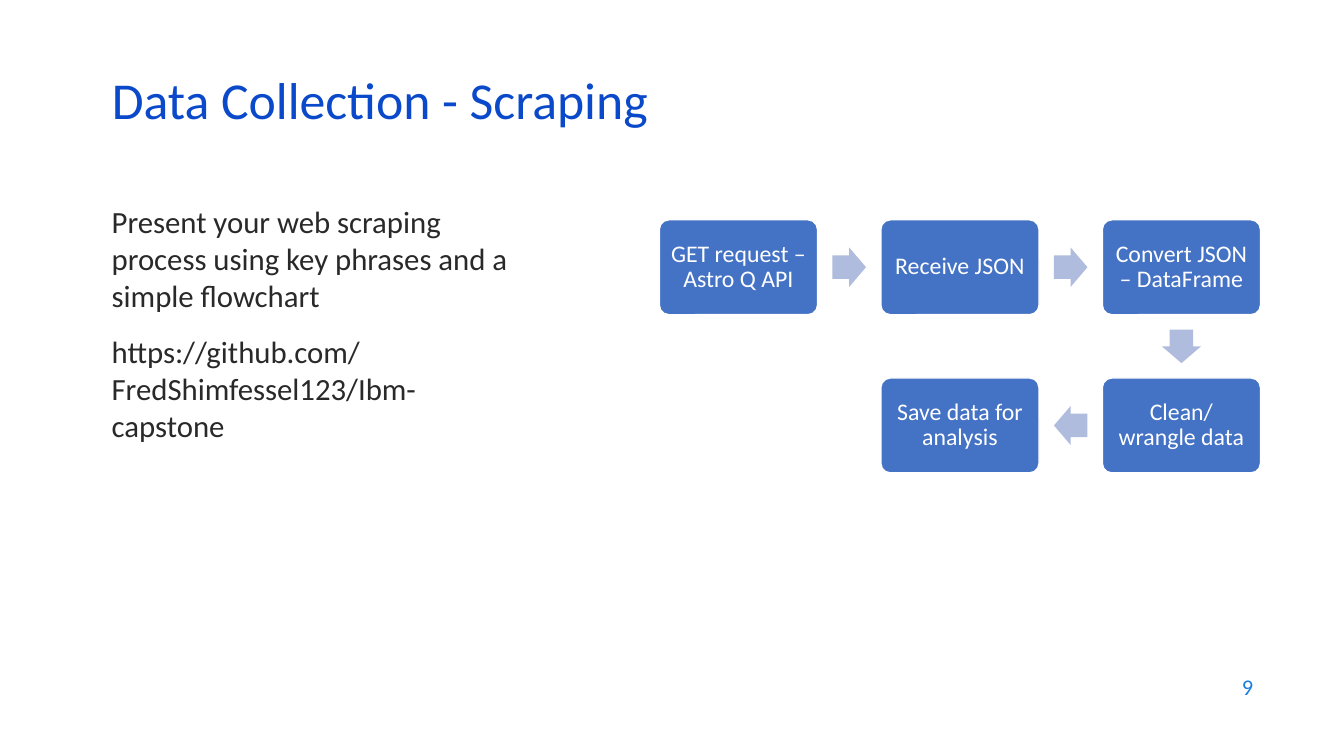
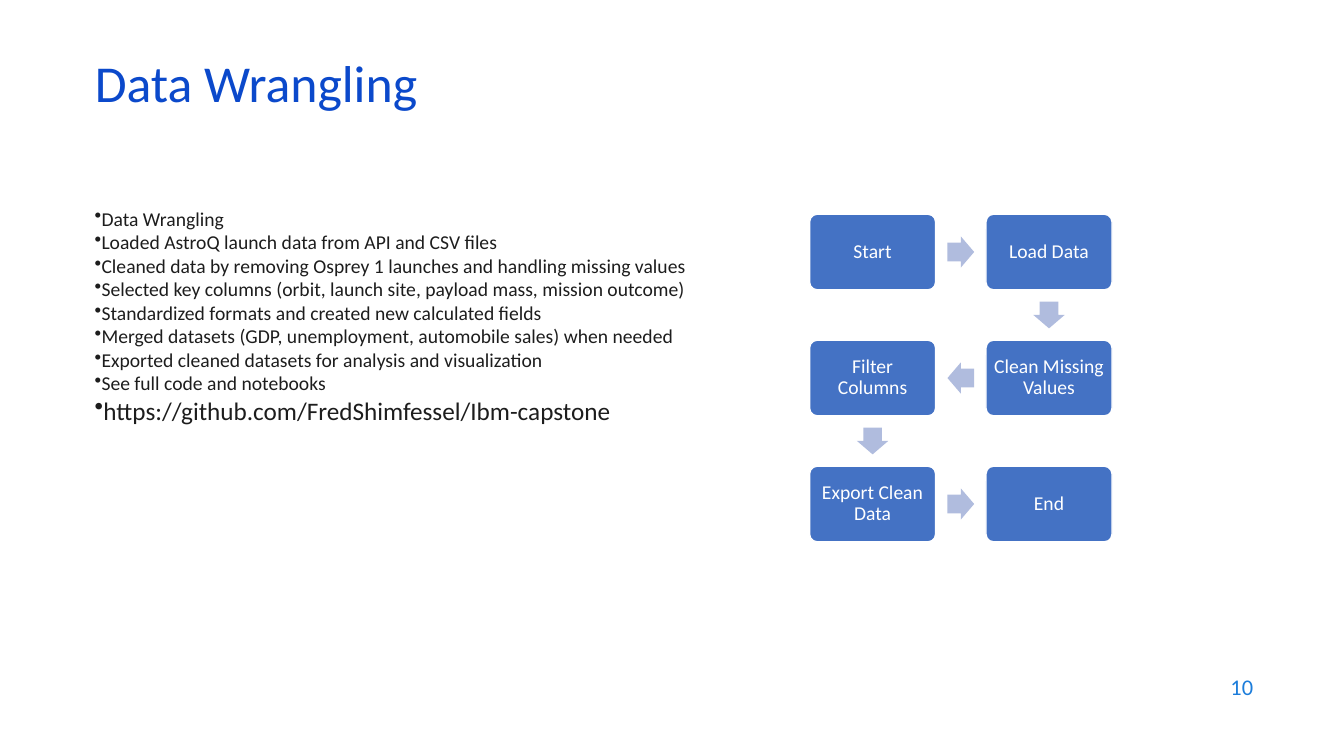
from itertools import pairwise
from math import atan2, degrees

from lxml.etree import SubElement
from pptx import Presentation
from pptx.dml.color import RGBColor
from pptx.enum.shapes import MSO_SHAPE
from pptx.enum.text import MSO_ANCHOR, MSO_AUTO_SIZE, PP_ALIGN
from pptx.oxml.ns import qn
from pptx.util import Pt

COLORS = {
    "title": "0B49CB",
    "number": "1C7DDB",
    "prose": "292929",
    "bullets": "1D1D1D",
    "step": "4472C4",
    "arrow": "B0BCDE",
    "white": "FFFFFF",
}
FONT = "Calibri"
TITLE_ONLY = 5

SLIDES = [
    {
        "number": "9",
        "title": "Data Collection - Scraping",
        "title_at": (72.7, 54.7, 828, 43.2),
        "body_at": (72.7, 141.1, 309.6, 300.2),
        "body_color": "prose",
        "bulleted": False,
        "gap": 14,
        "body": [
            ("Present your web scraping process using key phrases and a simple flowchart", 22),
            ("https://github.com/FredShimfessel123/Ibm-capstone", 22),
        ],
        "flow": {
            "origin": (471, 157),
            "step_width": 113,
            "size": 17,
            "steps": [
                ("GET request – Astro Q API", 0, 0),
                ("Receive JSON", 1, 0),
                ("Convert JSON – DataFrame", 2, 0),
                ("Clean/wrangle data", 2, 1),
                ("Save data for analysis", 1, 1),
            ],
        },
    },
    {
        "number": "10",
        "title": "Data Wrangling",
        "title_at": (60.5, 42.5, 828, 43.2),
        "body_at": (60.5, 144, 470.2, 346.3),
        "body_color": "bullets",
        "bulleted": True,
        "gap": 0,
        "body": [
            ("Data Wrangling", 14),
            ("Loaded AstroQ launch data from API and CSV files", 14),
            ("Cleaned data by removing Osprey 1 launches and handling missing values", 14),
            ("Selected key columns (orbit, launch site, payload mass, mission outcome)", 14),
            ("Standardized formats and created new calculated fields", 14),
            ("Merged datasets (GDP, unemployment, automobile sales) when needed", 14),
            ("Exported cleaned datasets for analysis and visualization", 14),
            ("See full code and notebooks", 14),
            ("https://github.com/FredShimfessel/Ibm-capstone", 18),
        ],
        "flow": {
            "origin": (578.3, 153),
            "step_width": 90,
            "size": 14,
            "steps": [
                ("Start", 0, 0),
                ("Load Data", 1, 0),
                ("Clean Missing Values", 1, 1),
                ("Filter Columns", 0, 1),
                ("Export Clean Data", 0, 2),
                ("End", 1, 2),
            ],
        },
    },
]
NUMBER_AT = (686.2, 474.5, 216, 31.7)


def apply(target, values):
    for name, value in values.items():
        setattr(target, name, value)


def points(lengths):
    return [Pt(round(length, 2)) for length in lengths]


def place(shape, lengths):
    apply(shape, dict(zip(("left", "top", "width", "height"), points(lengths))))


def set_frame(frame, anchor, inset=(7.2, 3.6)):
    side, end = points(inset)
    apply(frame, {
        "word_wrap": True,
        "auto_size": MSO_AUTO_SIZE.NONE,
        "vertical_anchor": anchor,
        "margin_left": side,
        "margin_right": side,
        "margin_top": end,
        "margin_bottom": end,
    })


def write(paragraph, text, size, color, align=PP_ALIGN.LEFT, spacing=1.0, before=0):
    paragraph.text = text
    apply(paragraph, {"alignment": align, "line_spacing": spacing})
    if before:
        paragraph.space_before = Pt(before)
    apply(paragraph.font, {"name": FONT, "size": Pt(size)})
    paragraph.font.color.rgb = RGBColor.from_string(COLORS[color])


def add_bullet(paragraph):
    properties = paragraph._p.get_or_add_pPr()
    properties.set("marL", "0")
    properties.set("indent", "0")
    SubElement(properties, qn("a:buChar")).set("char", "•")


def add_solid(slide, kind, at, color, adjustments):
    shape = slide.shapes.add_shape(kind, *points(at))
    shape.shadow.inherit = False
    shape.fill.solid()
    shape.fill.fore_color.rgb = RGBColor.from_string(COLORS[color])
    shape.line.fill.background()
    for index, value in enumerate(adjustments):
        shape.adjustments[index] = value
    return shape


def add_step(slide, label, at, size):
    width = at[2]
    step = add_solid(slide, MSO_SHAPE.ROUNDED_RECTANGLE, at, "step", [0.1])
    step.line.color.rgb = RGBColor.from_string(COLORS["white"])
    step.line.width = Pt(1)
    set_frame(step.text_frame, MSO_ANCHOR.MIDDLE, (0.043 * width, 0.043 * width))
    write(step.text_frame.paragraphs[0], label, size, "white", PP_ALIGN.CENTER, 0.9)


def add_flow(slide, flow):
    left, top = flow["origin"]
    width = flow["step_width"]
    height = 0.6 * width
    length, breadth = 0.212 * width, 0.248 * width
    centers = []
    for label, column, row in flow["steps"]:
        x, y = left + 1.4 * width * column, top + width * row
        add_step(slide, label, (x, y, width, height), flow["size"])
        centers.append((x + width / 2, y + height / 2))
    for (x1, y1), (x2, y2) in pairwise(centers):
        at = ((x1 + x2 - length) / 2, (y1 + y2 - breadth) / 2, length, breadth)
        arrow = add_solid(slide, MSO_SHAPE.RIGHT_ARROW, at, "arrow", [0.6, 0.5])
        arrow.rotation = degrees(atan2(y2 - y1, x2 - x1))


def add_body(slide, content):
    frame = slide.shapes.add_textbox(*points(content["body_at"])).text_frame
    set_frame(frame, MSO_ANCHOR.TOP)
    for index, (text, size) in enumerate(content["body"]):
        paragraph = frame.add_paragraph() if index else frame.paragraphs[0]
        if content["bulleted"]:
            add_bullet(paragraph)
        write(paragraph, text, size, content["body_color"],
              before=content["gap"] if index else 0)


def add_slide(deck, content):
    slide = deck.slides.add_slide(deck.slide_layouts[TITLE_ONLY])
    title = slide.shapes.title
    place(title, content["title_at"])
    set_frame(title.text_frame, MSO_ANCHOR.MIDDLE)
    write(title.text_frame.paragraphs[0], content["title"], 37, "title", spacing=0.7)
    add_body(slide, content)
    add_flow(slide, content["flow"])
    number = slide.shapes.add_textbox(*points(NUMBER_AT)).text_frame
    set_frame(number, MSO_ANCHOR.MIDDLE)
    write(number.paragraphs[0], content["number"], 16, "number", PP_ALIGN.RIGHT)


def main():
    deck = Presentation()
    apply(deck, {"slide_width": Pt(960), "slide_height": Pt(540)})
    for content in SLIDES:
        add_slide(deck, content)
    deck.save("out.pptx")


if __name__ == "__main__":
    main()
